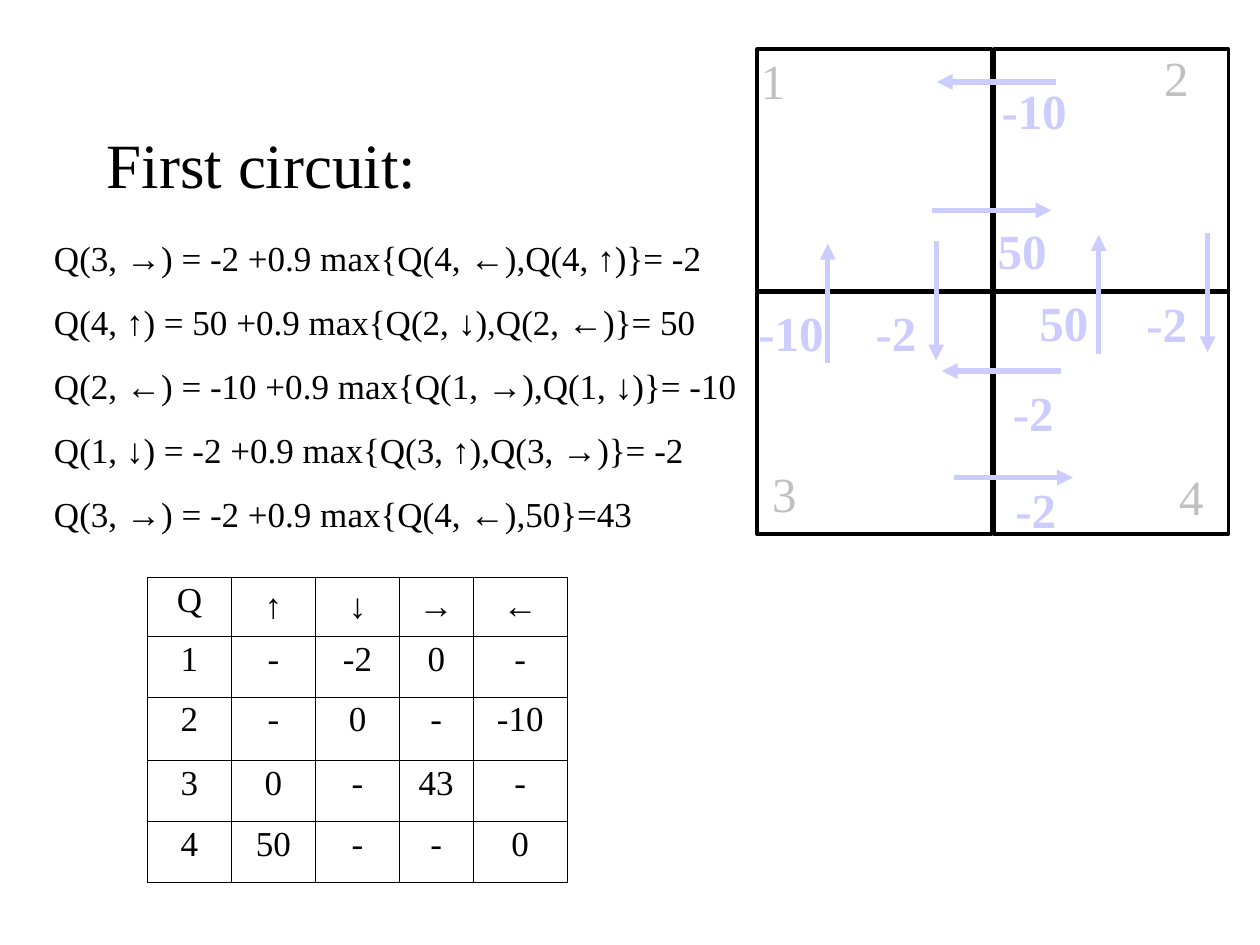
from dataclasses import dataclass
from itertools import groupby, product

from lxml.etree import SubElement
from pptx import Presentation
from pptx.dml.color import RGBColor
from pptx.enum.shapes import MSO_CONNECTOR as Connector, MSO_SHAPE as Shape
from pptx.enum.text import MSO_ANCHOR as Anchor, MSO_AUTO_SIZE as AutoSize, PP_ALIGN as Align
from pptx.oxml import parse_xml
from pptx.oxml.ns import nsdecls, qn
from pptx.util import Emu, Inches, Pt

# The slide is a grid of 100 columns and 75 rows, one unit being a tenth of an inch
COLUMNS, ROWS, UNIT = 100, 75, Inches(0.1)
BLACK, GREY, LILAC = "000000", "C0C0C0", "CCCCFF"
SERIF, SANS = "Times New Roman", "Arial"
ARROWS = "↑↓→←"
STEPS = {"↑": (0, -1), "↓": (0, 1), "→": (1, 0), "←": (-1, 0)}
MOVE_LENGTH = 9.45


@dataclass(frozen=True)
class Style:
    size: float
    colour: str = BLACK
    bold: bool = False
    before: float = 0


@dataclass(frozen=True)
class Label:
    text: str
    column: float
    row: float
    width: float
    style: Style


@dataclass(frozen=True)
class Move:
    direction: str
    column: float
    row: float


TITLE = Style(36)
EQUATION = Style(20, before=12.5)
CELL = Style(20, before=5)
ROOM = Style(28, GREY, before=17.5)
REWARD = Style(28, LILAC, bold=True)

EQUATIONS = [
    "Q(3, →) = -2 +0.9 max{Q(4, ←),Q(4, ↑)}= -2",
    "Q(4, ↑) = 50 +0.9 max{Q(2, ↓),Q(2, ←)}= 50",
    "Q(2, ←) = -10 +0.9 max{Q(1, →),Q(1, ↓)}= -10",
    "Q(1, ↓) = -2 +0.9 max{Q(3, ↑),Q(3, →)}= -2",
    "Q(3, →) = -2 +0.9 max{Q(4, ←),50}=43",
]
Q_VALUES = [
    ["Q", *ARROWS],
    ["1", "-", "-2", "0", "-"],
    ["2", "-", "0", "-", "-10"],
    ["3", "0", "-", "43", "-"],
    ["4", "50", "-", "-", "0"],
]
Q_WIDTHS = [6.67, 6.67, 6.67, 5.83, 7.5]
Q_HEIGHTS = [4.7, 4.8, 5.05, 4.85, 4.8]

LABELS = [
    Label("1", 59.4, 3.5, 7.4, ROOM),
    Label("2", 91.4, 3.3, 7.4, ROOM),
    Label("3", 60.3, 36.3, 7.4, ROOM),
    Label("4", 92.6, 36.5, 7.4, ROOM),
    Label("-10", 78.5, 5.9, 11.2, REWARD),
    Label("50", 78.2, 17, 11.2, REWARD),
    Label("-2", 90, 22.8, 6.5, REWARD),
    Label("50", 81.5, 22.7, 11.2, REWARD),
    Label("-2", 68.5, 23.5, 6.5, REWARD),
    Label("-10", 59.2, 23.5, 11.2, REWARD),
    Label("-2", 79.4, 29.9, 10.2, REWARD),
    Label("-2", 79.6, 37.6, 11.2, REWARD),
]
MOVES = [
    Move("←", 83.8, 6.5),
    Move("→", 74, 16.7),
    Move("↓", 95.85, 18.5),
    Move("↑", 87.2, 28.1),
    Move("↓", 74.3, 19.15),
    Move("↑", 65.7, 28.8),
    Move("←", 84.2, 29.45),
    Move("→", 75.7, 37.9),
]


def units(count: float) -> Emu:
    return Emu(round(count * UNIT))


def rgb(colour: str) -> RGBColor:
    return RGBColor.from_string(colour)


def write(para, text: str, style: Style) -> None:
    """Add the text run by run, with the arrows in the sans font."""
    para.space_before = Pt(style.before)
    for is_arrow, letters in groupby(text, lambda letter: letter in ARROWS):
        span = para.add_run()
        span.text = "".join(letters)
        span.font.name = SANS if is_arrow else SERIF
        span.font.size = Pt(style.size)
        span.font.bold = style.bold
        span.font.color.rgb = rgb(style.colour)


def add_text(shapes, lines: list[str], column: float, row: float,
             width: float, height: float, style: Style):
    box = shapes.add_textbox(*map(units, (column, row, width, height)))
    frame = box.text_frame
    frame.word_wrap = True
    frame.auto_size = AutoSize.SHAPE_TO_FIT_TEXT
    for index, line in enumerate(lines):
        para = frame.add_paragraph() if index else frame.paragraphs[0]
        write(para, line, style)
    return box


def add_room(shapes, column: int, row: int) -> None:
    place = (60.1 + 18.8 * column, 3.9 + 19.3 * row, 18.6, 19.2)
    room = shapes.add_shape(Shape.RECTANGLE, *map(units, place))
    room.shadow.inherit = False
    room.fill.background()
    room.line.color.rgb = rgb(BLACK)
    room.line.width = Pt(2)


def add_move(shapes, move: Move) -> None:
    across, down = STEPS[move.direction]
    end = (move.column + across * MOVE_LENGTH, move.row + down * MOVE_LENGTH)
    arrow = shapes.add_connector(
        Connector.STRAIGHT, *map(units, (move.column, move.row, *end)))
    arrow.line.color.rgb = rgb(LILAC)
    arrow.line.width = Pt(3)
    SubElement(arrow.line._get_or_add_ln(), qn("a:tailEnd"), type="triangle")
    SubElement(arrow._element.spPr, qn("a:effectLst"))


def add_borders(cell) -> None:
    properties = cell._tc.get_or_add_tcPr()
    for index, side in enumerate("LRTB"):
        properties.insert(index, parse_xml(
            f'<a:ln{side} {nsdecls("a")} w="{Pt(0.23)}"><a:solidFill>'
            f'<a:srgbClr val="{BLACK}"/></a:solidFill></a:ln{side}>'))


def add_q_table(shapes) -> None:
    place = (11.7, 45.8, sum(Q_WIDTHS), sum(Q_HEIGHTS))
    table = shapes.add_table(len(Q_HEIGHTS), len(Q_WIDTHS), *map(units, place)).table
    table.first_row = table.horz_banding = False
    for column, width in zip(table.columns, Q_WIDTHS):
        column.width = units(width)
    for row, height, values in zip(table.rows, Q_HEIGHTS, Q_VALUES):
        row.height = units(height)
        for cell, value in zip(row.cells, values):
            cell.fill.background()
            add_borders(cell)
            para = cell.text_frame.paragraphs[0]
            para.alignment = Align.CENTER
            para.line_spacing = 1.09 if value in ARROWS else 0.93
            write(para, value, CELL)


def main() -> None:
    deck = Presentation()
    deck.slide_width, deck.slide_height = units(COLUMNS), units(ROWS)
    page = deck.slides.add_slide(deck.slide_layouts[6])

    # Title, equations and table of Q values
    title = add_text(page.shapes, ["First circuit:"], 7.5, 6.7, 85, 12.5, TITLE)
    title.text_frame.auto_size = AutoSize.NONE
    title.text_frame.vertical_anchor = Anchor.MIDDLE
    add_text(page.shapes, EQUATIONS, 3.3, 18.3, 67.5, 24.6, EQUATION)
    add_q_table(page.shapes)

    # Board of four rooms with moves and rewards
    board = page.shapes.add_group_shape().shapes
    for row, column in product(range(2), repeat=2):
        add_room(board, column, row)
    for move in MOVES:
        add_move(board, move)
    for label in LABELS:
        add_text(board, [label.text], label.column, label.row, label.width, 5.7, label.style)

    deck.save("out.pptx")


if __name__ == "__main__":
    main()
